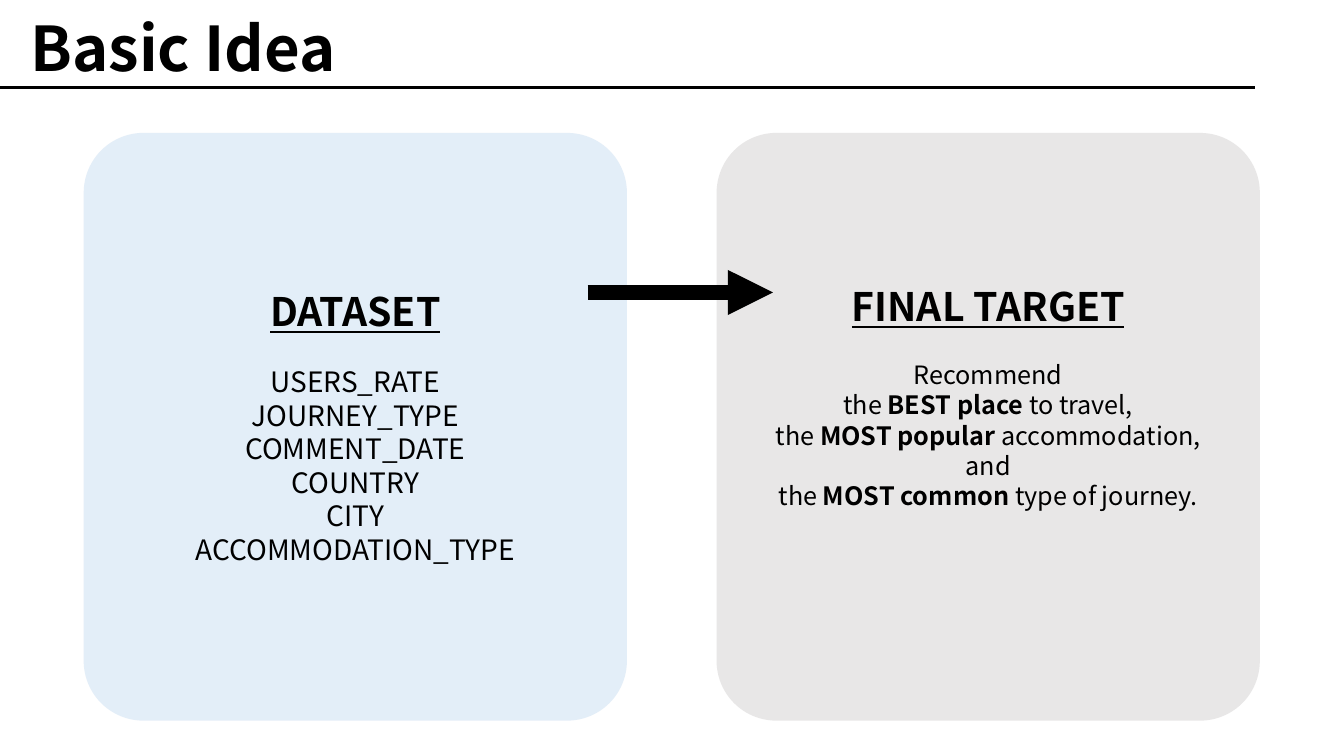
from dataclasses import dataclass

from lxml.etree import SubElement
from pptx import Presentation
from pptx.dml.color import RGBColor
from pptx.enum.shapes import MSO_CONNECTOR, MSO_SHAPE
from pptx.enum.text import MSO_ANCHOR, MSO_AUTO_SIZE, PP_ALIGN
from pptx.oxml.ns import qn
from pptx.shapes.connector import Connector
from pptx.slide import Slide
from pptx.util import Cm, Pt

FONT = "Noto Sans CJK KR"
BLACK = "000000"
PANEL_TOP, PANEL_WIDTH, PANEL_HEIGHT = 3.35, 13.69, 14.81
PANEL_OPACITY = 28


@dataclass(frozen=True)
class Span:
    text: str
    bold: bool = False


@dataclass(frozen=True)
class Panel:
    left: float
    fill: str
    heading: str
    lines: list[list[Span]]
    size: float
    bottom_inset: float


PANELS = [
    Panel(2.11, "9DC3E6", "DATASET", [
        [Span("USERS_RATE")],
        [Span("JOURNEY_TYPE")],
        [Span("COMMENT_DATE")],
        [Span("COUNTRY")],
        [Span("CITY")],
        [Span("ACCOMMODATION_TYPE")],
    ], 20, 0.13),
    Panel(18.06, "AFABAB", "FINAL TARGET", [
        [Span("Recommend")],
        [Span("the "), Span("BEST place ", True), Span("to travel,")],
        [Span("the "), Span("MOST popular ", True), Span("accommodation,")],
        [Span("and")],
        [Span("the "), Span("MOST common ", True), Span("type of journey.")],
    ], 18, 1.65),
]


def color(value: str) -> RGBColor:
    return RGBColor.from_string(value)


def style_paragraph(para, size: float, bold: bool, align: PP_ALIGN) -> None:
    para.alignment = align
    para.font.name = FONT
    para.font.size = Pt(size)
    para.font.bold = bold
    para.font.color.rgb = color(BLACK)


def add_title(page: Slide, text: str) -> None:
    title = page.shapes.title
    title.left, title.top, title.width, title.height = Cm(0.51), Cm(0.33), Cm(29.21), Cm(2.59)
    frame = title.text_frame
    frame.text = text
    frame.auto_size = MSO_AUTO_SIZE.NONE
    frame.vertical_anchor = MSO_ANCHOR.TOP
    para = frame.paragraphs[0]
    para.line_spacing = 0.9
    style_paragraph(para, 44, True, PP_ALIGN.LEFT)


def add_panel(page: Slide, panel: Panel) -> None:
    box = page.shapes.add_shape(MSO_SHAPE.ROUNDED_RECTANGLE, Cm(panel.left), Cm(PANEL_TOP),
                                Cm(PANEL_WIDTH), Cm(PANEL_HEIGHT))
    box.adjustments[0] = 0.11
    box.shadow.inherit = False
    box.line.fill.background()
    box.fill.solid()
    box.fill.fore_color.rgb = color(panel.fill)
    fill_color = box.element.spPr.find(qn("a:solidFill")).find(qn("a:srgbClr"))
    SubElement(fill_color, qn("a:alpha"), val=str(PANEL_OPACITY * 1000))

    frame = box.text_frame
    frame.word_wrap = True
    frame.vertical_anchor = MSO_ANCHOR.MIDDLE
    frame.margin_bottom = Cm(panel.bottom_inset)
    heading = frame.paragraphs[0]
    heading.text = panel.heading
    heading.space_after = Pt(21.6)
    style_paragraph(heading, 28, True, PP_ALIGN.CENTER)
    heading.font.underline = True
    for spans in panel.lines:
        para = frame.add_paragraph()
        style_paragraph(para, panel.size, False, PP_ALIGN.CENTER)
        for span in spans:
            run = para.add_run()
            run.text = span.text
            if span.bold:
                run.font.bold = True


def add_horizontal_line(page: Slide, start: float, end: float, top: float, weight: float) -> Connector:
    line = page.shapes.add_connector(MSO_CONNECTOR.STRAIGHT, Cm(start), Cm(top), Cm(end), Cm(top))
    line.line.color.rgb = color(BLACK)
    line.line.width = Pt(weight)
    SubElement(line.element.spPr, qn("a:effectLst"))
    return line


def main() -> None:
    deck = Presentation()
    deck.slide_width, deck.slide_height = Cm(33.87), Cm(19.05)
    page = deck.slides.add_slide(deck.slide_layouts[5])
    add_title(page, "Basic Idea")
    add_horizontal_line(page, 0, 31.62, 2.21, 2.5)
    for panel in PANELS:
        add_panel(page, panel)
    arrow = add_horizontal_line(page, 14.81, 19.48, 7.37, 10.75)
    SubElement(arrow.element.spPr.find(qn("a:ln")), qn("a:tailEnd"), type="triangle")
    deck.save("out.pptx")


if __name__ == "__main__":
    main()
